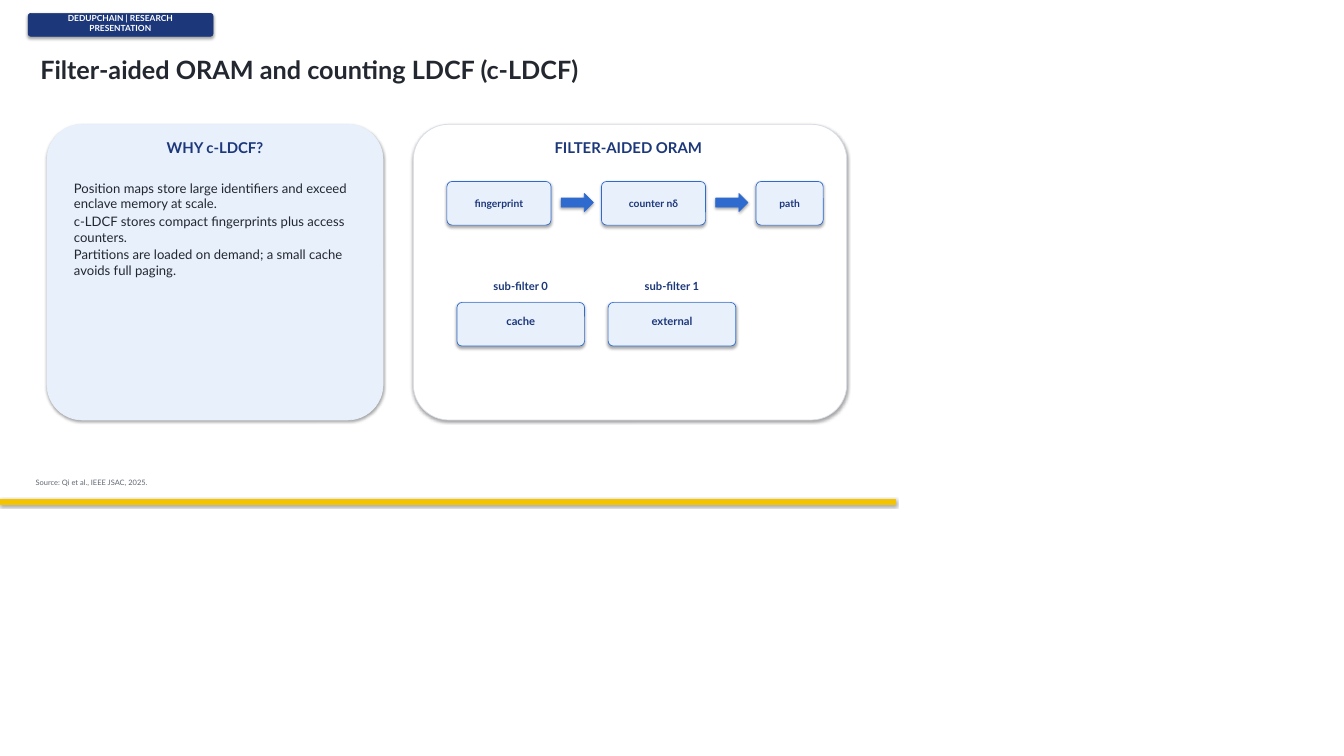
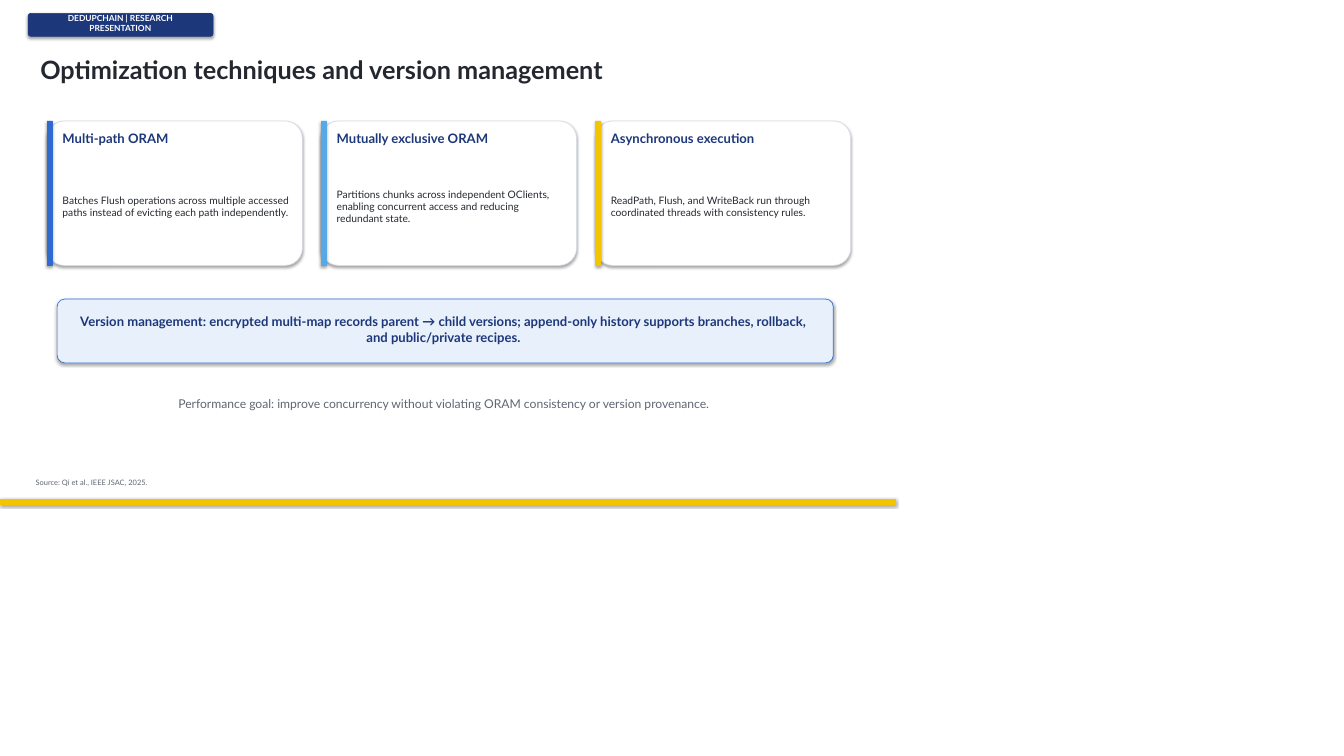
from pptx import Presentation
from pptx.dml.color import RGBColor
from pptx.enum.shapes import MSO_SHAPE as Shape
from pptx.enum.text import MSO_ANCHOR as Anchor, MSO_AUTO_SIZE as AutoSize, PP_ALIGN as Align
from pptx.util import Pt

COLORS = {
    "navy": "1C377A",
    "blue": "2F6BCE",
    "sky": "56A9E6",
    "pale": "E8F0FC",
    "gold": "F5C400",
    "ink": "23272F",
    "gray": "5F6673",
    "border": "D7DCE6",
    "white": "FFFFFF",
}
FONT = "Lato"
PANEL_TOP, PANEL_HEIGHT = 133.2, 316.8
NODE_TOP, NODE_HEIGHT, NODE_GAP = 194.4, 46.8, 54
CARD_TOP, CARD_WIDTH, CARD_HEIGHT, CARD_STEP = 129.6, 273.6, 154.8, 293.76


def color(name):
    return RGBColor.from_string(COLORS[name])


def add_block(slide, kind, left, top, width, height, fill, line=None):
    shape = slide.shapes.add_shape(kind, Pt(left), Pt(top), Pt(width), Pt(height))
    if kind == Shape.ROUNDED_RECTANGLE:
        shape.adjustments[0] = 0.12
    shape.fill.solid()
    shape.fill.fore_color.rgb = color(fill)
    shape.line.color.rgb = color(line or fill)
    shape.line.width = Pt(0.75)


def add_rounded(slide, left, top, width, height, fill="pale", line="blue"):
    add_block(slide, Shape.ROUNDED_RECTANGLE, left, top, width, height, fill, line)


def add_text(slide, text, left, top, width, height, size, ink="navy", bold=False,
             align=None, anchor=Anchor.MIDDLE, insets=(3.6, 3.6, 3.6, 3.6), space_after=None):
    box = slide.shapes.add_textbox(Pt(left), Pt(top), Pt(width), Pt(height))
    frame = box.text_frame
    frame.word_wrap = True
    frame.auto_size = AutoSize.SHAPE_TO_FIT_TEXT
    frame.vertical_anchor = anchor
    frame.margin_left, frame.margin_top, frame.margin_right, frame.margin_bottom = map(Pt, insets)
    frame.text = text
    for paragraph in frame.paragraphs:
        paragraph.alignment = align
        if space_after is not None:
            paragraph.space_after = Pt(space_after)
        for run in paragraph.runs:
            run.font.name = FONT
            run.font.size = Pt(size)
            run.font.bold = bold
            run.font.color.rgb = color(ink)


def add_label(slide, text, left, top, width, height, size, ink="navy"):
    add_text(slide, text, left, top, width, height, size, ink, True, Align.CENTER)


def add_base_slide(presentation, title):
    slide = presentation.slides.add_slide(presentation.slide_layouts[6])
    add_rounded(slide, 30.24, 14.4, 198, 24.48, "navy", "navy")
    add_label(slide, "DEDUPCHAIN | RESEARCH PRESENTATION", 36, 14.4, 185.76, 20.16, 9, "white")
    add_text(slide, title, 39.6, 51.84, 633.6, 44.64, 27, "ink", True)
    return slide


def add_footer(slide):
    add_block(slide, Shape.RECTANGLE, 0, 534.96, 959.76, 5.04, "gold")
    add_text(slide, "Source: Qi et al., IEEE JSAC, 2025.", 34.56, 509.04, 547.2, 15.84, 8, "gray")


def add_node_chain(slide, left, nodes):
    for index, (name, width) in enumerate(nodes):
        if index:
            add_block(slide, Shape.RIGHT_ARROW, left - NODE_GAP + 10.8, 207.36, 34.56, 19.44, "blue")
        add_rounded(slide, left, NODE_TOP, width, NODE_HEIGHT)
        add_label(slide, name, left + 4.32, NODE_TOP + 4.32, width - 8.64, NODE_HEIGHT - 8.64, 11)
        left += width + NODE_GAP


def add_sub_filter(slide, left, heading, location):
    add_label(slide, heading, left + 14.4, 295.2, 108, 21.6, 12)
    add_rounded(slide, left, 324, 136.8, NODE_HEIGHT)
    add_label(slide, location, left + 14.4, 334.8, 108, 18, 12)


def add_card(slide, left, heading, body, accent):
    add_rounded(slide, left, CARD_TOP, CARD_WIDTH, CARD_HEIGHT, "white", "border")
    add_block(slide, Shape.RECTANGLE, left, CARD_TOP, 5.76, CARD_HEIGHT, accent)
    add_text(slide, heading, left + 12.96, 138.24, 252, 20.16, 14, bold=True)
    add_text(slide, body, left + 12.96, 164.16, 252, 113.76, 11, "ink")


def build_filter_slide(presentation):
    slide = add_base_slide(presentation, "Filter-aided ORAM and counting LDCF (c-LDCF)")
    add_rounded(slide, 50.4, PANEL_TOP, 360, PANEL_HEIGHT, "pale", "pale")
    add_label(slide, "WHY c-LDCF?", 68.4, 147.6, 324, 21.6, 16)
    reasons = [
        "Position maps store large identifiers and exceed enclave memory at scale.",
        "c-LDCF stores compact fingerprints plus access counters.",
        "Partitions are loaded on demand; a small cache avoids full paging.",
    ]
    add_text(slide, "\n".join(reasons), 70.56, 190.8, 313.2, 144, 14, "ink",
             anchor=Anchor.TOP, insets=(8.64, 2.16, 2.88, 3.6), space_after=2)

    add_rounded(slide, 442.8, PANEL_TOP, 464.4, PANEL_HEIGHT, "white", "border")
    add_label(slide, "FILTER-AIDED ORAM", 464.4, 147.6, 417.6, 21.6, 16)
    add_node_chain(slide, 478.8, [("fingerprint", 111.6), ("counter nδ", 111.6), ("path", 72)])
    for index, location in enumerate(["cache", "external"]):
        add_sub_filter(slide, 489.6 + index * 162, f"sub-filter {index}", location)
    add_footer(slide)


def build_optimization_slide(presentation):
    slide = add_base_slide(presentation, "Optimization techniques and version management")
    cards = [
        ("Multi-path ORAM", "Batches Flush operations across multiple accessed paths "
         "instead of evicting each path independently.", "blue"),
        ("Mutually exclusive ORAM", "Partitions chunks across independent OClients, "
         "enabling concurrent access and reducing redundant state.", "sky"),
        ("Asynchronous execution", "ReadPath, Flush, and WriteBack run through "
         "coordinated threads with consistency rules.", "gold"),
    ]
    for index, card in enumerate(cards):
        add_card(slide, 50.4 + index * CARD_STEP, *card)
    add_rounded(slide, 61.2, 320.4, 831.6, 68.4)
    add_label(slide, "Version management: encrypted multi-map records parent → child versions; "
              "append-only history supports branches, rollback, and public/private recipes.",
              79.2, 336.24, 792, 32.4, 14)
    add_text(slide, "Performance goal: improve concurrency without violating ORAM consistency "
             "or version provenance.", 72, 421.2, 806.4, 23.04, 13, "gray", align=Align.CENTER)
    add_footer(slide)


def main():
    presentation = Presentation()
    presentation.slide_width, presentation.slide_height = Pt(1440), Pt(810)
    build_filter_slide(presentation)
    build_optimization_slide(presentation)
    presentation.save("out.pptx")


if __name__ == "__main__":
    main()
